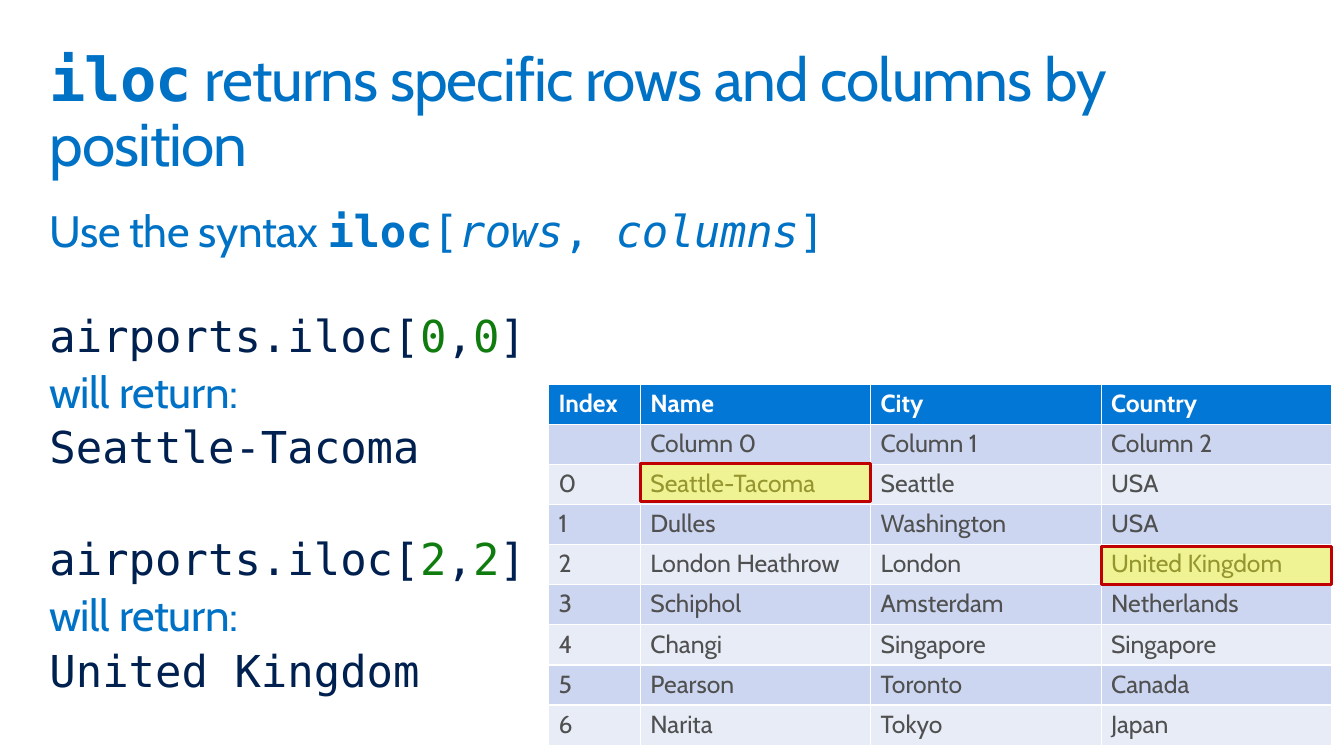
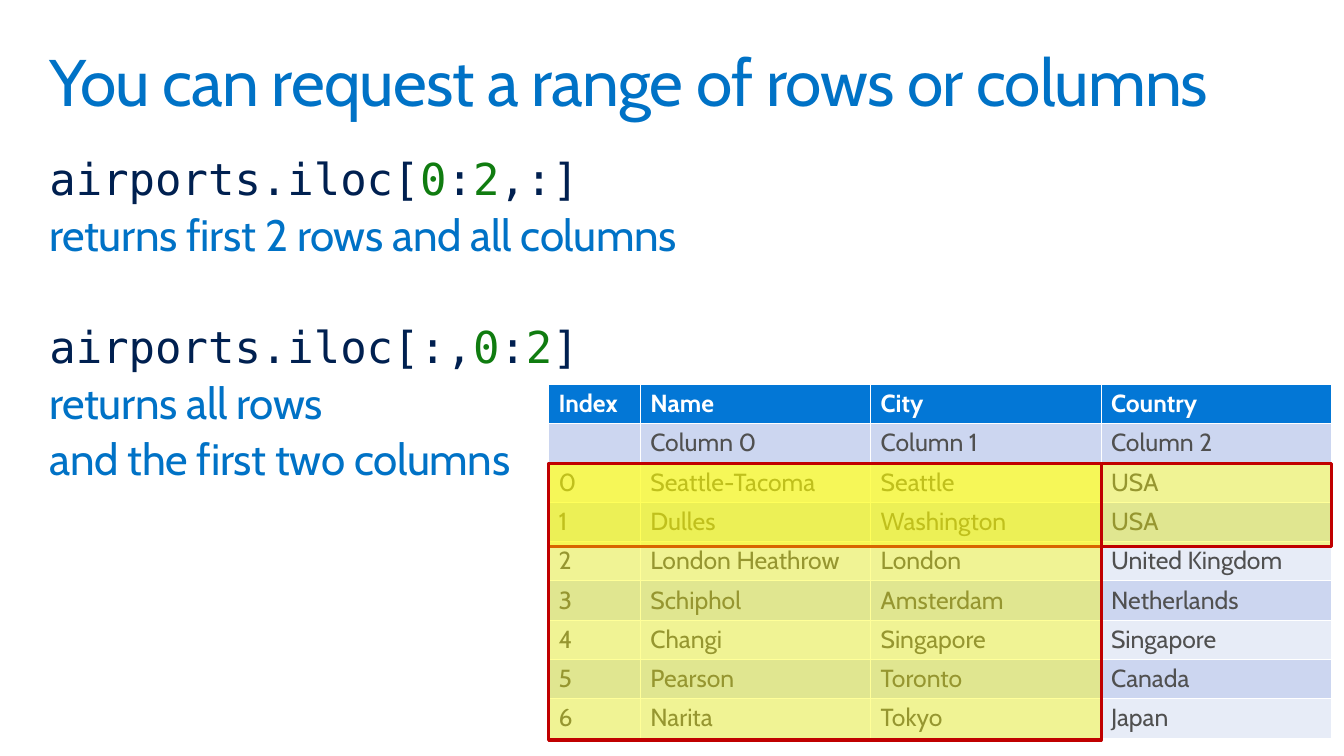
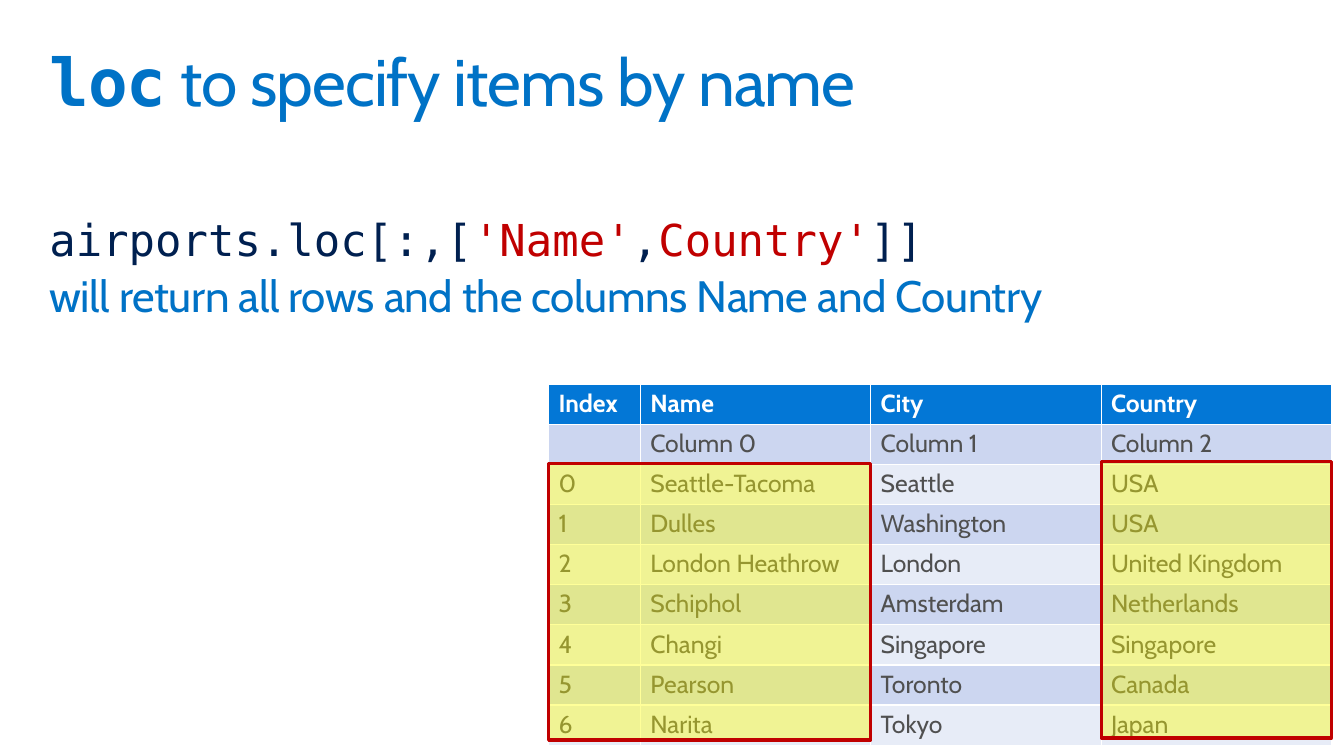
from lxml import etree
from pptx import Presentation
from pptx.dml.color import RGBColor
from pptx.enum.shapes import MSO_SHAPE
from pptx.oxml.ns import qn
from pptx.util import Cm, Pt

RECT = MSO_SHAPE.RECTANGLE

COLORS = {
    "blue": "0072C6", "navy": "002050", "green": "107C10", "red": "C00000",
    "yellow": "FFFF00", "header": "0377D6", "band": "CCD6F0", "light": "E7ECF7",
    "grey": "505050", "white": "FFFFFF",
}
RGB = {name: RGBColor.from_string(value) for name, value in COLORS.items()}
SANS, MONO = "Cabin", "DejaVu Sans Mono"

# Run styles: font, colour, bold, italic
STYLES = {
    "text": (SANS, "blue", False, False),
    "keyword": (MONO, "blue", True, False),
    "syntax": (MONO, "blue", False, False),
    "argument": (MONO, "blue", False, True),
    "code": (MONO, "navy", False, False),
    "number": (MONO, "green", False, False),
    "string": (MONO, "red", False, False),
}

# Spacing in points, lengths in centimetres
LINE_GAP, BLOCK_GAP, SYNTAX_GAP = 6, 47, 42
TEXT_LEFT, TEXT_W = 1.02, 32.51
TABLE_LEFT, TABLE_TOP = 14.1, 9.88
COL_W = [2.36, 5.92, 5.92, 5.92]
ROWS = [
    ["Index", "Name", "City", "Country"],
    ["", "Column 0", "Column 1", "Column 2"],
    ["0", "Seattle-Tacoma", "Seattle", "USA"],
    ["1", "Dulles", "Washington", "USA"],
    ["2", "London Heathrow", "London", "United Kingdom"],
    ["3", "Schiphol", "Amsterdam", "Netherlands"],
    ["4", "Changi", "Singapore", "Singapore"],
    ["5", "Pearson", "Toronto", "Canada"],
    ["6", "Narita", "Tokyo", "Japan"],
]

# Body paragraphs: space before, then runs of (style, text)
# Marks: first column, end column, top, height
SLIDES = [
    {
        "title": [("keyword", "iloc"),
                  ("text", " returns specific rows and columns by position")],
        "title_size": 44, "body_top": 5.13, "body_h": 13.5, "row_h": 1.03,
        "body": [
            (0, [("text", "Use the syntax "), ("keyword", "iloc"), ("syntax", "["),
                 ("argument", "rows"), ("syntax", ", "), ("argument", "columns"),
                 ("syntax", "]")]),
            (SYNTAX_GAP, [("code", "airports.iloc["), ("number", "0"), ("code", ","),
                          ("number", "0"), ("code", "]")]),
            (LINE_GAP, [("text", "will return:")]),
            (LINE_GAP, [("code", "Seattle-Tacoma")]),
            (BLOCK_GAP, [("code", "airports.iloc["), ("number", "2"), ("code", ","),
                         ("number", "2"), ("code", "]")]),
            (LINE_GAP, [("text", "will return:")]),
            (LINE_GAP, [("code", "United Kingdom")]),
        ],
        "marks": [(1, 2, 11.91, 0.97), (3, 4, 14.05, 0.97)],
    },
    {
        "title": [("text", "You can request a range of rows or columns")],
        "title_size": 48, "body_top": 3.81, "body_h": 10.41, "row_h": 1.01,
        "body": [
            (0, [("code", "airports.iloc["), ("number", "0"), ("code", ":"),
                 ("number", "2"), ("code", ",:]")]),
            (LINE_GAP, [("text", "returns first 2 rows and all columns")]),
            (BLOCK_GAP, [("code", "airports.iloc[:,"), ("number", "0"), ("code", ":"),
                         ("number", "2"), ("code", "]")]),
            (LINE_GAP, [("text", "returns all rows")]),
            (LINE_GAP, [("text", "and the first two columns")]),
        ],
        "marks": [(0, 4, 11.91, 2.13), (0, 3, 11.91, 7.11)],
    },
    {
        "title": [("keyword", "loc"), ("text", " to specify items by name")],
        "title_size": 48, "body_top": 5.38, "body_h": 3.2, "row_h": 1.03,
        "body": [
            (0, [("code", "airports.loc[:,["), ("string", "'Name'"), ("code", ","),
                 ("string", "Country'"), ("code", "]]")]),
            (LINE_GAP, [("text", "will return all rows and the columns Name and Country")]),
        ],
        "marks": [(0, 2, 11.91, 7.11), (3, 4, 11.86, 7.11)],
    },
]


def add_text(s, top, height, size, tracking, paragraphs):
    """Add a text box; tracking (hundredths of a point) tightens blue runs."""
    sp = s.shapes.add_textbox(Cm(TEXT_LEFT), Cm(top), Cm(TEXT_W), Cm(height))
    tf = sp.text_frame
    tf.word_wrap = True
    tf.margin_left = tf.margin_right = tf.margin_top = tf.margin_bottom = Cm(0.25)
    for i, (gap, runs) in enumerate(paragraphs):
        p = tf.add_paragraph() if i else tf.paragraphs[0]
        p.line_spacing = 0.9
        if i:
            p.space_before = Pt(gap)
        p.font.size = Pt(size)
        for style, text in runs:
            font, color, bold, italic = STYLES[style]
            r = p.add_run()
            r.text = text
            r.font.name = font
            r.font.bold = bold
            r.font.italic = italic
            r.font.color.rgb = RGB[color]
            if color == "blue":
                r._r.get_or_add_rPr().set("spc", str(tracking))


prs = Presentation()
prs.slide_width, prs.slide_height = Cm(34.54), Cm(19.43)

for data in SLIDES:
    s = prs.slides.add_slide(prs.slide_layouts[6])

    # Title and body
    add_text(s, 1.02, 2.54, data["title_size"], -70, [(0, data["title"])])
    add_text(s, data["body_top"], data["body_h"], 32, -30, data["body"])

    # Airport table
    table = s.shapes.add_table(
        len(ROWS), len(COL_W), Cm(TABLE_LEFT), Cm(TABLE_TOP),
        Cm(sum(COL_W)), Cm(data["row_h"] * len(ROWS))).table
    table.horz_banding = False
    for column, width in zip(table.columns, COL_W):
        column.width = Cm(width)
    for i, row in enumerate(ROWS):
        table.rows[i].height = Cm(data["row_h"])
        fill = "header" if i == 0 else "band" if i % 2 else "light"
        for j, text in enumerate(row):
            cell = table.cell(i, j)
            cell.margin_top = cell.margin_bottom = Cm(0.11)
            cell.fill.solid()
            cell.fill.fore_color.rgb = RGB[fill]
            cell.text = text
            font = cell.text_frame.paragraphs[0].font
            font.name = SANS
            font.size = Pt(18)
            font.bold = i == 0
            font.color.rgb = RGB["grey" if i else "white"]

    # Translucent marks over the selected cells
    for first, end, top, height in data["marks"]:
        sp = s.shapes.add_shape(
            RECT, Cm(TABLE_LEFT + sum(COL_W[:first])), Cm(top),
            Cm(sum(COL_W[first:end])), Cm(height))
        sp.shadow.inherit = False
        sp.fill.solid()
        sp.fill.fore_color.rgb = RGB["yellow"]
        color = sp._element.spPr.find(qn("a:solidFill"))[0]
        etree.SubElement(color, qn("a:alpha")).set("val", "40000")
        sp.line.color.rgb = RGB["red"]
        sp.line.width = Pt(2.25)

prs.save("out.pptx")
